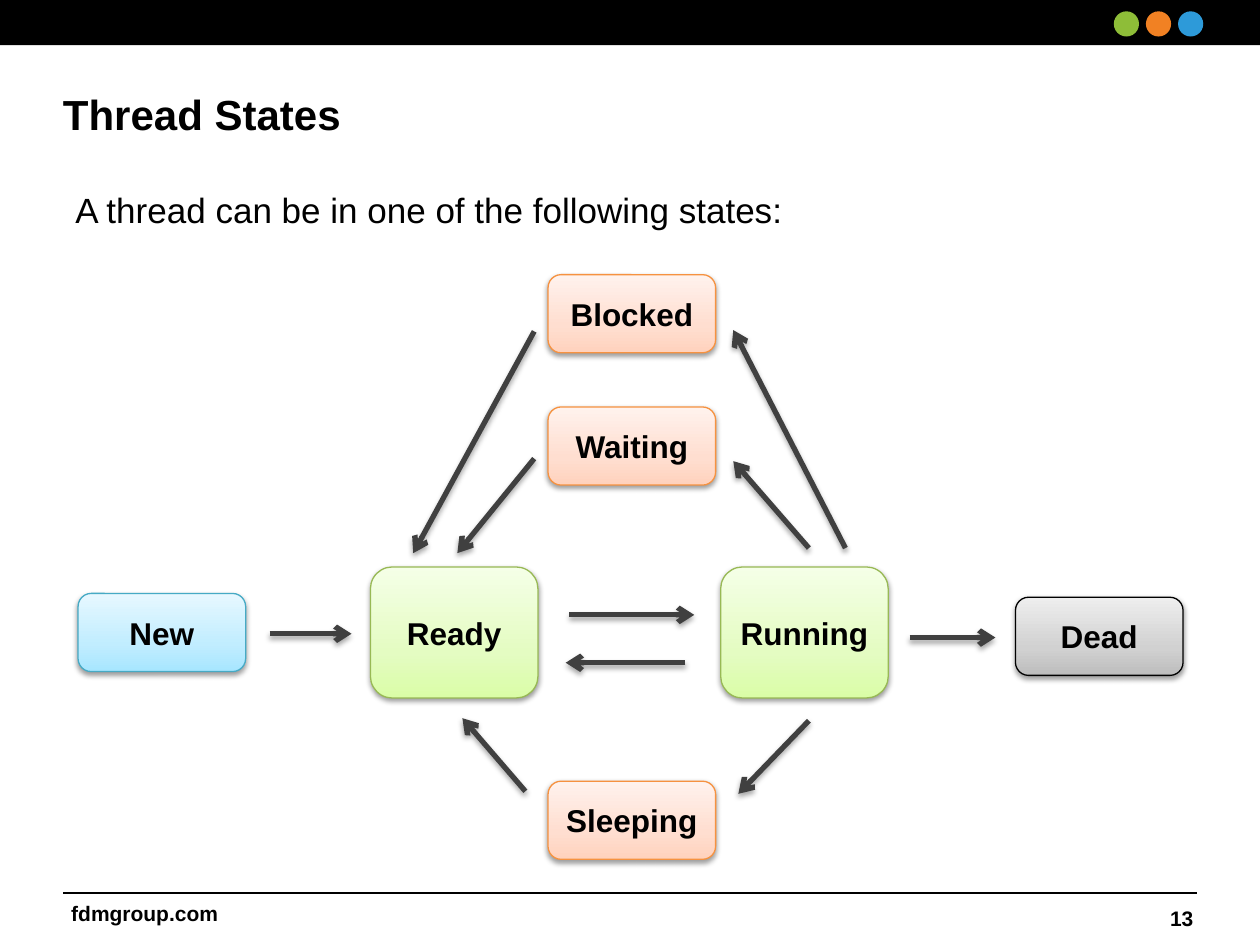
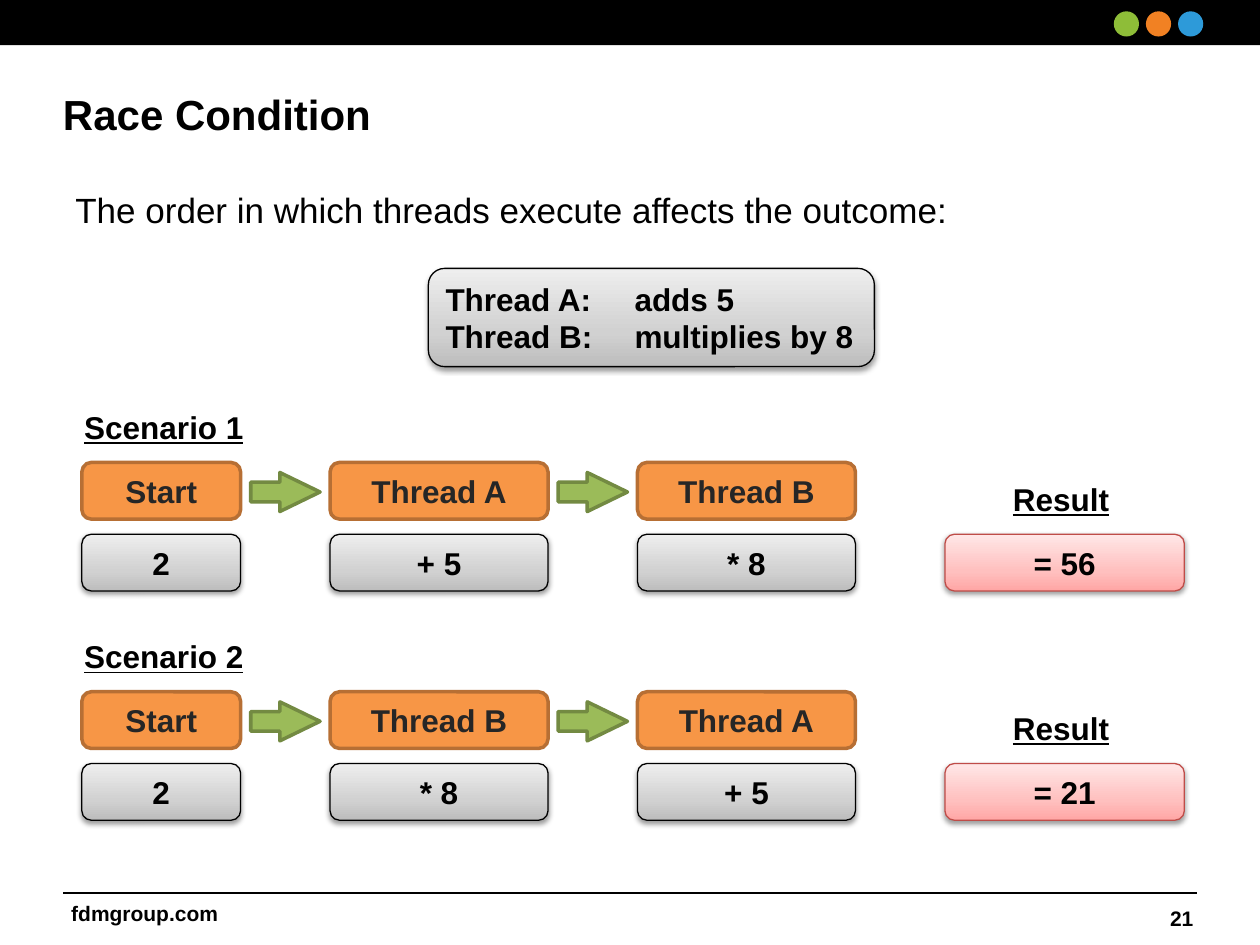
from lxml import etree
from pptx import Presentation
from pptx.dml.color import RGBColor
from pptx.enum.shapes import MSO_CONNECTOR, MSO_SHAPE
from pptx.enum.text import MSO_ANCHOR, PP_ALIGN
from pptx.oxml.ns import qn
from pptx.util import Inches, Pt

RECT, ROUND, OVAL, ARROW = (MSO_SHAPE.RECTANGLE, MSO_SHAPE.ROUNDED_RECTANGLE,
                            MSO_SHAPE.OVAL, MSO_SHAPE.RIGHT_ARROW)
STRAIGHT = MSO_CONNECTOR.STRAIGHT
TOP, MIDDLE = MSO_ANCHOR.TOP, MSO_ANCHOR.MIDDLE
LEFT, CENTER, RIGHT = PP_ALIGN.LEFT, PP_ALIGN.CENTER, PP_ALIGN.RIGHT

FONT = "Arial"
COLORS = {
    "black": "000000", "step_text": "262626", "connector": "404040",
    "dot_green": "8EBD38", "dot_orange": "F18123", "dot_blue": "2D9AD9",
    "step": "F79646", "step_line": "B76F34",
    "arrow": "9BBB59", "arrow_line": "738A42",
    "green_line": "98B955", "grey_line": "000000", "orange_line": "F69240",
    "blue_line": "46AAC5", "red_line": "BF4C48",
}
GRADIENTS = {
    "green": ("DAFDA7", "E4FCC2", "F5FFE7"),
    "grey": ("BDBDBD", "D1D1D1", "EEEEEE"),
    "orange": ("FFD2BD", "FFDED0", "FFF2ED"),
    "blue": ("A7E6FF", "C1EDFF", "E7F8FF"),
    "red": ("FFA6A5", "FFC0BF", "FFE7E7"),
}
GRADIENT_STOPS = (0, 35, 100)

STATE_W, STATE_H, ACTIVE_H = 1.33, 0.62, 1.04
STATES = [
    ("New", 0.62, 4.71, STATE_H, "blue"),
    ("Ready", 2.94, 4.5, ACTIVE_H, "green"),
    ("Running", 5.72, 4.5, ACTIVE_H, "green"),
    ("Dead", 8.06, 4.74, STATE_H, "grey"),
    ("Blocked", 4.35, 2.18, STATE_H, "orange"),
    ("Waiting", 4.35, 3.23, STATE_H, "orange"),
    ("Sleeping", 4.35, 6.2, STATE_H, "orange"),
]
TRANSITIONS = [
    (2.14, 5.03, 2.79, 5.03), (7.22, 5.06, 7.9, 5.06),
    (4.52, 4.88, 5.51, 4.88), (5.44, 5.26, 4.49, 5.26),
    (6.71, 4.35, 5.82, 2.62), (6.42, 4.35, 5.82, 3.66),
    (4.24, 2.63, 3.28, 4.39), (4.24, 3.64, 3.63, 4.39),
    (6.42, 5.72, 5.86, 6.3), (4.17, 6.28, 3.67, 5.7),
]

SCENARIO_TOP, SCENARIO_PITCH = 3.19, 1.82
STEP_WIDTHS, STEP_H, STEP_GAP = (1.26, 1.73, 1.73), 0.45, 0.71
ARROW_W, ARROW_H = 0.55, 0.31
SCENARIOS = [
    ([("Start", "2"), ("Thread A", "+ 5"), ("Thread B", "* 8")], "= 56"),
    ([("Start", "2"), ("Thread B", "* 8"), ("Thread A", "+ 5")], "= 21"),
]


def rgb(name):
    """Return the named colour."""
    return RGBColor.from_string(COLORS[name])


def write(sp, text, size=18, color="black", bold=True, underline=False,
          align=LEFT, anchor=TOP, wrap=True, inset=None, tab=None):
    """Fill a shape with text, one paragraph for each line."""
    tf = sp.text_frame
    tf.word_wrap, tf.vertical_anchor = wrap, anchor
    if inset:
        (tf.margin_left, tf.margin_top,
         tf.margin_right, tf.margin_bottom) = map(Inches, inset)
    for i, line in enumerate(text.split("\n")):
        p = tf.add_paragraph() if i else tf.paragraphs[0]
        p.alignment = align
        if tab:
            tabs = etree.SubElement(p._p.get_or_add_pPr(), qn("a:tabLst"))
            etree.SubElement(tabs, qn("a:tab"), pos=str(Inches(tab)), algn="l")
        r = p.add_run()
        r.text = line
        r.font.name, r.font.size = FONT, Pt(size)
        r.font.bold, r.font.underline = bold, underline
        r.font.color.rgb = rgb(color)


def add_label(s, text, x, y, w, h, **fmt):
    """Add a text box."""
    write(s.shapes.add_textbox(*map(Inches, (x, y, w, h))), text, **fmt)


def add_block(s, kind, x, y, w, h, fill, line=None, width=2):
    """Add a flat preset shape."""
    sp = s.shapes.add_shape(kind, *map(Inches, (x, y, w, h)))
    sp.shadow.inherit = False
    sp.fill.solid()
    sp.fill.fore_color.rgb = rgb(fill)
    if line:
        sp.line.color.rgb, sp.line.width = rgb(line), Pt(width)
    else:
        sp.line.fill.background()
    return sp


def set_shadow(sp, opacity, blur, distance):
    """Cast a soft shadow straight down."""
    spPr = sp.element.spPr
    effects = spPr.find(qn("a:effectLst"))
    if effects is None:
        effects = etree.SubElement(spPr, qn("a:effectLst"))
    shadow = etree.SubElement(
        effects, qn("a:outerShdw"), blurRad=str(Pt(blur)),
        dist=str(Pt(distance)), dir="5400000", rotWithShape="0")
    color = etree.SubElement(shadow, qn("a:srgbClr"), val=COLORS["black"])
    etree.SubElement(color, qn("a:alpha"), val=str(opacity * 1000))


def add_card(s, text, x, y, w, h, tint, align=CENTER, tab=None):
    """Add a rounded card with a vertical gradient and a shadow."""
    sp = add_block(s, ROUND, x, y, w, h, "black", tint + "_line", 0.75)
    sp.fill.gradient()
    sp.fill.gradient_angle = 90
    stops = sp.element.spPr.find(qn("a:gradFill")).find(qn("a:gsLst"))
    for stop in list(stops):
        stops.remove(stop)
    for pos, color in zip(GRADIENT_STOPS, GRADIENTS[tint]):
        stop = etree.SubElement(stops, qn("a:gs"), pos=str(pos * 1000))
        etree.SubElement(stop, qn("a:srgbClr"), val=color)
    set_shadow(sp, 38, 3.1, 1.6)
    write(sp, text, align=align, anchor=MIDDLE, tab=tab)


def add_line(s, x1, y1, x2, y2, color, width):
    """Add a straight line without a shadow."""
    cxn = s.shapes.add_connector(STRAIGHT, *map(Inches, (x1, y1, x2, y2)))
    cxn.line.color.rgb, cxn.line.width = rgb(color), Pt(width)
    etree.SubElement(cxn.element.spPr, qn("a:effectLst"))
    return cxn


def add_transition(s, x1, y1, x2, y2):
    """Add a shadowed arrow between two states."""
    cxn = add_line(s, x1, y1, x2, y2, "connector", 3)
    etree.SubElement(cxn.element.spPr.find(qn("a:ln")),
                     qn("a:tailEnd"), type="arrow")
    set_shadow(cxn, 35, 3.1, 1.8)


def add_base(prs, title, intro, number):
    """Add a slide with its band, title, intro line and footer."""
    s = prs.slides.add_slide(prs.slide_layouts[6])
    add_block(s, RECT, 0, 0, 10, 0.36, "black")
    for i, color in enumerate(("dot_green", "dot_orange", "dot_blue")):
        add_block(s, OVAL, 8.84 + 0.255 * i, 0.09, 0.2, 0.2, color)
    add_label(s, title, 0.5, 0.7, 9, 0.45, size=24, inset=(0, 0, 0, 0.05))
    add_label(s, intro, 0.5, 1.45, 9, 5.29, size=20, bold=False)
    add_line(s, 0.5, 7.09, 9.5, 7.09, "black", 1)
    footer = {"size": 12, "align": RIGHT, "anchor": MIDDLE}
    add_label(s, "fdmgroup.com", 0.44, 7.1, 1.39, 0.3, wrap=False, **footer)
    add_label(s, str(number), 7.24, 7.09, 2.33, 0.4, **footer)
    return s


def add_scenario(s, name, top, steps, result):
    """Add one order of execution with its values and its result."""
    add_label(s, name, 0.57, top, 2.28, 0.4, underline=True)
    step_y, value_y = top + 0.48, top + 1.05
    x = 0.65
    for i, ((step, value), w) in enumerate(zip(steps, STEP_WIDTHS)):
        if i:
            add_block(s, ARROW, x - (STEP_GAP + ARROW_W) / 2,
                      step_y + (STEP_H - ARROW_H) / 2 + 0.01,
                      ARROW_W, ARROW_H, "arrow", "arrow_line").adjustments[1] = 1.03
        sp = add_block(s, ROUND, x, step_y, w, STEP_H, "step", "step_line")
        write(sp, step, color="step_text", align=CENTER, anchor=MIDDLE)
        add_card(s, value, x, value_y, w, STEP_H, "grey")
        x += w + STEP_GAP
    add_label(s, "Result", 7.94, top + 0.57, 1, 0.4, underline=True)
    add_card(s, result, x, value_y, 1.9, STEP_H, "red")


def add_thread_states(prs):
    """Build the state diagram slide."""
    s = add_base(prs, "Thread States",
                 "A thread can be in one of the following states:", 13)
    for name, x, y, h, tint in STATES:
        add_card(s, name, x, y, STATE_W, h, tint)
    for ends in TRANSITIONS:
        add_transition(s, *ends)


def add_race_condition(prs):
    """Build the slide that compares two orders of execution."""
    s = add_base(prs, "Race Condition",
                 "The order in which threads execute affects the outcome:", 21)
    add_card(s, "Thread A:\tadds 5\nThread B:\tmultiplies by 8",
             3.4, 2.13, 3.54, 0.78, "grey", align=LEFT, tab=1.5)
    for i, (steps, result) in enumerate(SCENARIOS):
        add_scenario(s, f"Scenario {i + 1}", SCENARIO_TOP + SCENARIO_PITCH * i,
                     steps, result)


def main():
    """Build and save the presentation."""
    prs = Presentation()
    prs.slide_width, prs.slide_height = Inches(10), Inches(7.5)
    add_thread_states(prs)
    add_race_condition(prs)
    prs.save("out.pptx")


if __name__ == "__main__":
    main()
